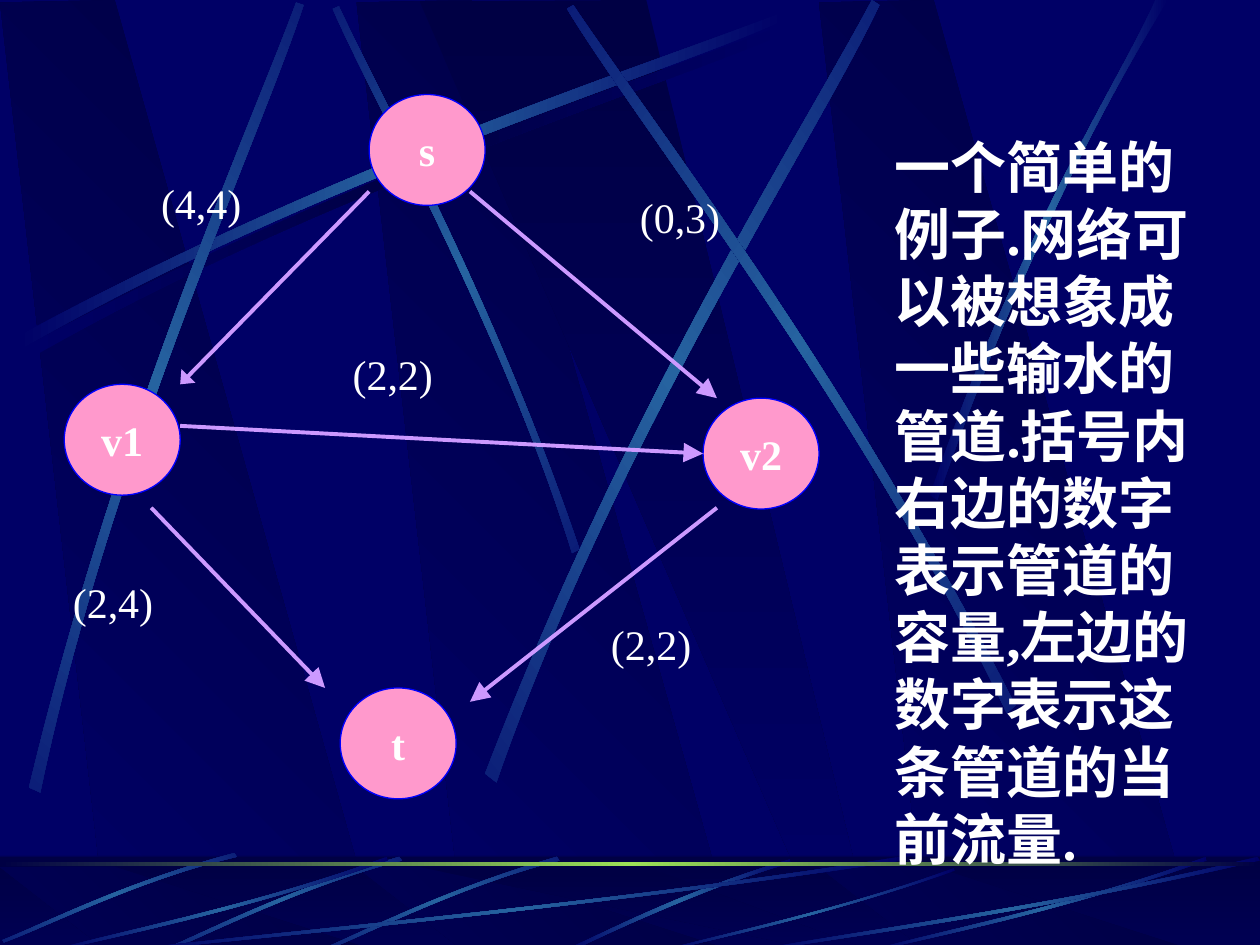
from dataclasses import dataclass
from math import cos, radians, sin

from lxml.etree import SubElement
from pptx import Presentation
from pptx.dml.color import RGBColor
from pptx.enum.shapes import MSO_CONNECTOR, MSO_SHAPE
from pptx.enum.text import MSO_ANCHOR, MSO_AUTO_SIZE, PP_ALIGN
from pptx.oxml import parse_xml
from pptx.oxml.ns import nsdecls, qn
from pptx.util import Inches, Pt

COLORS = {
    "navy": "000066",
    "night": "000044",
    "steel": "2663A0",
    "lime": "9CE157",
    "pink": "FF99CC",
    "outline": "0000FF",
    "violet": "CC99FF",
    "white": "FFFFFF",
}
FONT = "Times New Roman"
Point = tuple[float, float]
SHADE = ("night", "navy")
GLOW = ("navy", "steel", "navy")
NODE_WIDTH, NODE_HEIGHT = 0.92, 0.88
FLOOR_TOP, FLOOR_SCALE = 6.88, 0.09


@dataclass(frozen=True)
class Strand:
    first: tuple[Point, Point, Point, Point]
    second: tuple[Point, Point, Point, Point]
    rotation: float = 0
    colors: tuple[str, ...] = GLOW
    shifts: tuple[float, ...] = (0,)


@dataclass(frozen=True)
class Node:
    name: str
    left: float
    top: float


@dataclass(frozen=True)
class Edge:
    start: Point
    end: Point
    head_length: str = "lg"


@dataclass(frozen=True)
class Label:
    text: str
    left: float
    top: float
    width: float = 0.84
    height: float = 0.5
    wrap: bool = False
    size: int = 24
    bold: bool = False
    space_before: int = 0


BAND = [(0.86, 7.5), (3.02, 7.52), (0.91, 0), (0, 0.02)]
BEAM = [(3.33, 0.01), (6.58, 7.51), (6.94, 7.51), (5.13, 0)]
BAND_LEFTS = (2.83, 0, 6.5)

WALL_STRANDS = [
    Strand(((0.2, 2.75), (2.84, 1.34), (5.24, 0.59), (6.26, 0.18)),
           ((6.29, 0.24), (5.28, 0.69), (2.54, 1.51), (0.23, 2.85)),
           colors=("navy", "night", "navy")),
    Strand(((4.6, 4.36), (3.91, 2.34), (3.02, 0.77), (2.69, 0.05)),
           ((2.64, 0.07), (2.95, 0.79), (3.98, 2.58), (4.54, 4.39)), 45),
    Strand(((0.14, 2.67), (2.78, 1.25), (5.18, 0.51), (6.2, 0.1)),
           ((6.23, 0.16), (5.22, 0.61), (2.48, 1.43), (0.17, 2.77))),
    Strand(((0.23, 6.25), (0.93, 3.34), (1.97, 1.05), (2.35, 0.02)),
           ((2.41, 0.04), (2.07, 1.08), (0.86, 3.68), (0.32, 6.29)), 311.7),
    Strand(((3.85, 6.14), (4.98, 3.2), (6.38, 1.02), (6.92, 0)),
           ((6.98, 0.04), (6.49, 1.08), (4.86, 3.55), (3.94, 6.21)), 321.6),
    Strand(((8.06, 5.6), (6.7, 2.93), (5.16, 0.95), (4.55, 0.04)),
           ((4.5, 0.07), (5.07, 1.01), (6.85, 3.25), (7.99, 5.66)), 34.8),
    Strand(((7.38, 3.93), (8.14, 1.73), (8.88, 0.66), (9.17, 0)),
           ((9.27, 0), (8.36, 1.45), (7.69, 3.22), (7.44, 3.97))),
]
FLOOR_STRANDS = [
    Strand(((6.27, 6.82), (5.37, 7.09), (4.77, 7.42), (4.48, 7.54)),
           ((4.53, 7.55), (4.9, 7.37), (5.71, 7), (6.28, 6.85))),
    Strand(((4.42, 6.8), (3.55, 7.05), (2.87, 7.4), (2.56, 7.53)),
           ((2.57, 7.55), (2.88, 7.43), (3.65, 7.03), (4.44, 6.83)), 314.9, shifts=(0, -1.25)),
    Strand(((1.86, 6.77), (0.99, 7), (0.33, 7.34), (0.02, 7.46)),
           ((0.03, 7.48), (0.34, 7.37), (1.1, 6.98), (1.88, 6.8)), 314.9),
    Strand(((7.17, 6.83), (4.49, 7.23), (2.06, 7.44), (1.03, 7.55)),
           ((1, 7.54), (2.02, 7.41), (4.8, 7.18), (7.14, 6.8))),
    Strand(((3.08, 6.83), (1.93, 7.23), (0.88, 7.44), (0.43, 7.55)),
           ((0.42, 7.54), (0.86, 7.41), (2.06, 7.18), (3.07, 6.8)), shifts=(0, 6.5)),
    Strand(((7.58, 6.91), (6.58, 7.26), (5.67, 7.45), (5.28, 7.55)),
           ((5.27, 7.54), (5.65, 7.43), (6.69, 7.22), (7.57, 6.89))),
    Strand(((10, 6.83), (8.27, 7.23), (6.69, 7.44), (6.02, 7.55)),
           ((6, 7.54), (6.66, 7.41), (8.46, 7.18), (9.98, 6.8))),
]
NODES = [Node("v1", 0.51, 3.05), Node("t", 2.7, 5.46), Node("s", 2.93, 0.75), Node("v2", 5.58, 3.16)]
EDGES = [
    Edge((2.93, 1.52), (1.43, 3.05), "med"),
    Edge((1.43, 3.38), (5.58, 3.6)),
    Edge((3.73, 1.52), (5.69, 3.16)),
    Edge((5.69, 4.03), (3.73, 5.57)),
    Edge((1.2, 4.03), (2.58, 5.46)),
]
LABELS = [
    Label("(2,2)", 2.7, 2.72, width=1.23, wrap=True, space_before=15),
    Label("(4,4)", 1.18, 1.36),
    Label("(2,4)", 0.48, 4.53),
    Label("(0,3)", 4.98, 1.47),
    Label("(2,2)", 4.75, 4.86),
    Label("一个简单的例子.网络可以被想象成一些输水的管道.括号内右边的数字表示管道的容量,"
          "左边的数字表示这条管道的当前流量.", 7, 1, 2.58, 6.5, True, 32, True),
]


def color(name: str) -> RGBColor:
    return RGBColor.from_string(COLORS[name])


def fill_gradient(shape, names: tuple[str, ...], angle: float) -> None:
    shape.shadow.inherit = False
    shape.line.fill.background()
    shape.fill.gradient()
    stops = "".join(
        f'<a:gs pos="{100000 * index // (len(names) - 1)}"><a:srgbClr val="{COLORS[name]}"/></a:gs>'
        for index, name in enumerate(names)
    )
    properties = shape._element.spPr
    properties.replace(properties.find(qn("a:gradFill")), parse_xml(
        f'<a:gradFill {nsdecls("a")} rotWithShape="1"><a:gsLst>{stops}</a:gsLst>'
        f'<a:lin ang="{angle * 60000}" scaled="0"/></a:gradFill>'
    ))


def add_outline(shapes, points: list[Point], names: tuple[str, ...], angle: float):
    corners = [(Inches(x), Inches(y)) for x, y in points]
    builder = shapes.build_freeform(*corners[0])
    builder.add_line_segments(corners[1:], close=True)
    outline = builder.convert_to_shape()
    fill_gradient(outline, names, angle)
    return outline


def turn(point: Point, degrees: float) -> Point:
    x, y = point
    c, s = cos(radians(degrees)), sin(radians(degrees))
    return x * c - y * s, x * s + y * c


def bend(outline) -> None:
    segments = list(outline._element.iter(qn("a:lnTo")))
    for start in (0, 4):
        arc = parse_xml(f'<a:cubicBezTo {nsdecls("a")}/>')
        segments[start].addprevious(arc)
        for segment in segments[start:start + 3]:
            arc.append(segment[0])
            segment.getparent().remove(segment)


def add_strand(shapes, strand: Strand) -> None:
    for shift in strand.shifts:
        points = [turn((x + shift, y), -strand.rotation) for x, y in strand.first + strand.second]
        outline = add_outline(shapes, points, strand.colors, 180)
        bend(outline)
        middle = (outline.left + outline.width / 2, outline.top + outline.height / 2)
        x, y = turn(middle, strand.rotation)
        outline.left = round(x - outline.width / 2)
        outline.top = round(y - outline.height / 2)
        outline.rotation = strand.rotation


def add_bands(shapes, top: float = 0, scale: float = 1) -> None:
    for left in BAND_LEFTS:
        add_outline(shapes, [(left + x, top + y * scale) for x, y in BAND], SHADE, 135)
    add_outline(shapes, [(x, top + y * scale) for x, y in BEAM], SHADE, 90)


def add_strip(shapes, top: float, height: float):
    return shapes.add_shape(MSO_SHAPE.RECTANGLE, 0, Inches(top), Inches(10), Inches(height))


def add_backdrop(deck, page) -> None:
    page.background.fill.solid()
    page.background.fill.fore_color.rgb = color("navy")
    group = page.shapes.add_group_shape()
    shapes = group.shapes
    add_bands(shapes)
    for strand in WALL_STRANDS:
        add_strand(shapes, strand)
    fill_gradient(add_strip(shapes, 6.8, 0.75), SHADE, 90)
    add_bands(shapes, FLOOR_TOP, FLOOR_SCALE)
    veil = add_strip(shapes, 6.79, 0.75)
    veil.shadow.inherit = False
    veil.line.fill.background()
    veil.fill.solid()
    veil.fill.fore_color.rgb = color("night")
    tint = veil._element.spPr.find(qn("a:solidFill")).find(qn("a:srgbClr"))
    SubElement(tint, qn("a:alpha")).set("val", "50000")
    for strand in FLOOR_STRANDS:
        add_strand(shapes, strand)
    fill_gradient(add_strip(shapes, 6.84, 0.03), ("night", "lime", "night"), 180)
    for number, properties in enumerate(group._element.iter(qn("p:cNvPr")), 100):
        properties.set("id", str(number))
    deck.slide_master.shapes._spTree.append(group._element)


def write(shape, text: str, size: int, bold: bool, wrap: bool):
    shape.text_frame.word_wrap = wrap
    para = shape.text_frame.paragraphs[0]
    para.text = text
    para.font.name = FONT
    para.font.size = Pt(size)
    para.font.bold = bold
    para.font.color.rgb = color("white")
    return para


def add_node(page, node: Node) -> None:
    oval = page.shapes.add_shape(MSO_SHAPE.OVAL, Inches(node.left), Inches(node.top),
                                 Inches(NODE_WIDTH), Inches(NODE_HEIGHT))
    oval.shadow.inherit = False
    oval.fill.solid()
    oval.fill.fore_color.rgb = color("pink")
    oval.line.color.rgb = color("outline")
    oval.line.width = Pt(0.75)
    oval.text_frame.vertical_anchor = MSO_ANCHOR.MIDDLE
    write(oval, node.name, 24, True, False).alignment = PP_ALIGN.CENTER


def add_edge(page, edge: Edge) -> None:
    ends = [Inches(value) for value in edge.start + edge.end]
    arrow = page.shapes.add_connector(MSO_CONNECTOR.STRAIGHT, *ends)
    arrow.line.color.rgb = color("violet")
    arrow.line.width = Pt(2.25)
    head = SubElement(arrow.line._get_or_add_ln(), qn("a:tailEnd"))
    head.attrib.update({"type": "triangle", "w": "lg", "len": edge.head_length})
    SubElement(arrow._element.spPr, qn("a:effectLst"))


def add_label(page, label: Label) -> None:
    box = page.shapes.add_textbox(Inches(label.left), Inches(label.top),
                                  Inches(label.width), Inches(label.height))
    box.text_frame.auto_size = MSO_AUTO_SIZE.SHAPE_TO_FIT_TEXT
    para = write(box, label.text, label.size, label.bold, label.wrap)
    para.space_before = Pt(label.space_before)


def main() -> None:
    deck = Presentation()
    deck.slide_width, deck.slide_height = Inches(10), Inches(7.5)
    page = deck.slides.add_slide(deck.slide_layouts[6])
    add_backdrop(deck, page)
    for node in NODES:
        add_node(page, node)
    for edge in EDGES:
        add_edge(page, edge)
    for label in LABELS:
        add_label(page, label)
    deck.save("out.pptx")


if __name__ == "__main__":
    main()
